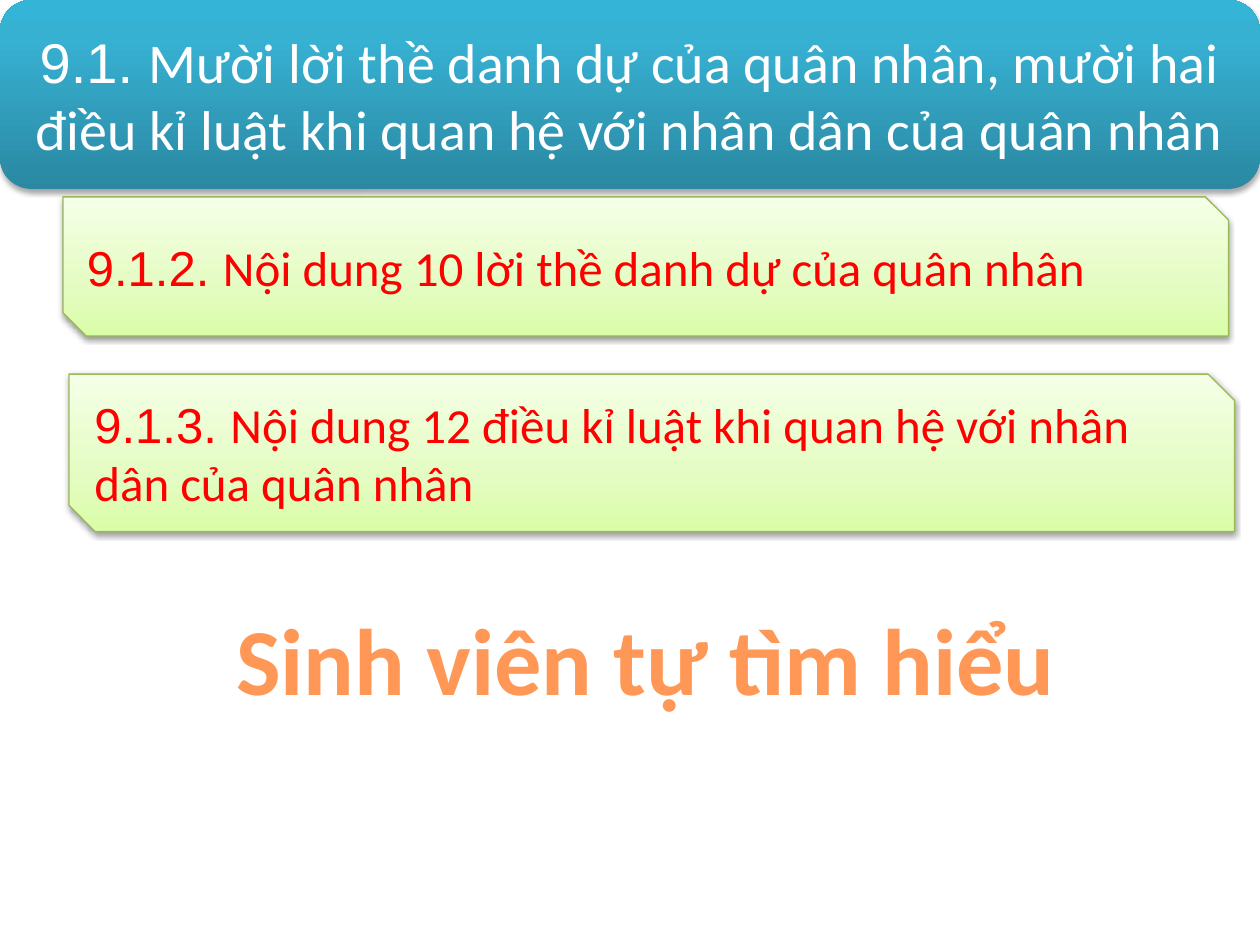
from lxml import etree
from pptx import Presentation
from pptx.dml.color import RGBColor
from pptx.enum.shapes import MSO_SHAPE
from pptx.enum.text import MSO_ANCHOR, MSO_AUTO_SIZE, PP_ALIGN
from pptx.oxml.ns import qn
from pptx.util import Pt

ROUNDED, SNIPPED = MSO_SHAPE.ROUNDED_RECTANGLE, MSO_SHAPE.SNIP_2_DIAG_RECTANGLE
LEFT, CENTER = PP_ALIGN.LEFT, PP_ALIGN.CENTER
MIDDLE = MSO_ANCHOR.MIDDLE
NO_FIT, GROW = MSO_AUTO_SIZE.NONE, MSO_AUTO_SIZE.SHAPE_TO_FIT_TEXT

WHITE = RGBColor(0xFF, 0xFF, 0xFF)
BLACK = RGBColor(0, 0, 0)
RED = RGBColor(0xFF, 0, 0)
GREEN_EDGE = RGBColor(0x98, 0xB9, 0x55)
BLUE_STOPS = [(0, RGBColor(0x2A, 0x88, 0xA2)), (80, RGBColor(0x37, 0xB1, 0xD2)),
              (100, RGBColor(0x34, 0xB4, 0xD6))]
GREEN_STOPS = [(0, RGBColor(0xDA, 0xFD, 0xA7)), (35, RGBColor(0xE4, 0xFC, 0xC2)),
               (100, RGBColor(0xF5, 0xFF, 0xE7))]
ORANGE_STOPS = [(0, RGBColor(0x9D, 0x47, 0x00)), (78, RGBColor(0xFF, 0x98, 0x56)),
                (100, RGBColor(0xFF, 0xF5, 0xF1))]
UP, DOWN = 90, 270  # counter-clockwise degrees


def add_color(parent, color):
    return etree.SubElement(parent, qn("a:srgbClr"), val=str(color))


def set_gradient(fill, holder, stops, angle):
    """Give the fill any number of (percent, colour) stops."""
    fill.gradient()
    fill.gradient_angle = angle
    stop_list = holder.find(qn("a:gradFill")).find(qn("a:gsLst"))
    for old_stop in list(stop_list):
        stop_list.remove(old_stop)
    for percent, color in stops:
        add_color(etree.SubElement(stop_list, qn("a:gs"), pos=str(percent * 1000)), color)


class SlideBuilder:
    number_font = "Arial"
    text_font = "Calibri"

    def __init__(self, slide):
        self.slide = slide

    def panel(self, kind, left, top, width, height, stops, shadow, edge=None):
        """Add a gradient shape; shadow is (distance in points, opacity percent)."""
        box = self.slide.shapes.add_shape(kind, Pt(left), Pt(top), Pt(width), Pt(height))
        set_gradient(box.fill, box._element.spPr, stops, UP)
        if edge is None:
            box.line.fill.background()
        else:
            box.line.color.rgb = edge
            box.line.width = Pt(0.75)
        self.drop_shadow(box, *shadow)
        return box

    def drop_shadow(self, box, distance, opacity):
        box.shadow.inherit = False
        effects = box._element.spPr.find(qn("a:effectLst"))
        outer = etree.SubElement(effects, qn("a:outerShdw"), blurRad=str(Pt(3.1)),
                                 dist=str(Pt(distance)), dir="5400000", rotWithShape="0")
        etree.SubElement(add_color(outer, BLACK), qn("a:alpha"), val=str(opacity * 1000))

    def span(self, para, text, font, size):
        run = para.add_run()
        run.text = text
        run.font.name = font
        run.font.size = Pt(size)
        return run

    def numbered_text(self, box, number, text, size, color, align):
        frame = box.text_frame
        frame.word_wrap = True
        frame.vertical_anchor = MIDDLE
        para = frame.paragraphs[0]
        para.alignment = align
        for words, font in ((number + " ", self.number_font), (text, self.text_font)):
            self.span(para, words, font, size).font.color.rgb = color

    def title(self, left, top, width, height, number, text):
        box = self.slide.shapes.title
        box.left, box.top, box.width, box.height = Pt(left), Pt(top), Pt(width), Pt(height)
        box.text_frame.auto_size = NO_FIT
        self.numbered_text(box, number, text, 32, WHITE, CENTER)
        # The title goes in front of the banner drawn before it.
        self.slide.shapes._spTree.append(box._element)

    def section(self, left, top, height, number, text):
        box = self.panel(SNIPPED, left, top, 666, height, GREEN_STOPS, (1.6, 38), GREEN_EDGE)
        self.numbered_text(box, number, text, 28, RED, LEFT)

    def callout(self, left, top, width, height, text):
        box = self.slide.shapes.add_textbox(Pt(left), Pt(top), Pt(width), Pt(height))
        box.text_frame.word_wrap = False
        box.text_frame.auto_size = GROW
        para = box.text_frame.paragraphs[0]
        para.alignment = CENTER
        run = self.span(para, text, self.text_font, 54)
        run.font.bold = True
        set_gradient(run.font.fill, run.font._element, ORANGE_STOPS, DOWN)


def main():
    deck = Presentation()
    deck.slide_width, deck.slide_height = Pt(720), Pt(540)
    page = SlideBuilder(deck.slides.add_slide(deck.slide_layouts[5]))

    page.panel(ROUNDED, 0, 0, 720, 108, BLUE_STOPS, (1.8, 35))
    page.title(5, 0, 710, 108, "9.1.",
               "Mười lời thề danh dự của quân nhân, mười hai điều kỉ luật "
               "khi quan hệ với nhân dân của quân nhân")
    page.section(36, 112.5, 79.5, "9.1.2.", "Nội dung 10 lời thề danh dự của quân nhân")
    page.callout(125.3, 339.8, 487.4, 72.7, "Sinh viên tự tìm hiểu")
    page.section(39.4, 213.8, 90, "9.1.3.",
                 "Nội dung 12 điều kỉ luật khi quan hệ với nhân dân của quân nhân")
    deck.save("out.pptx")


if __name__ == "__main__":
    main()
